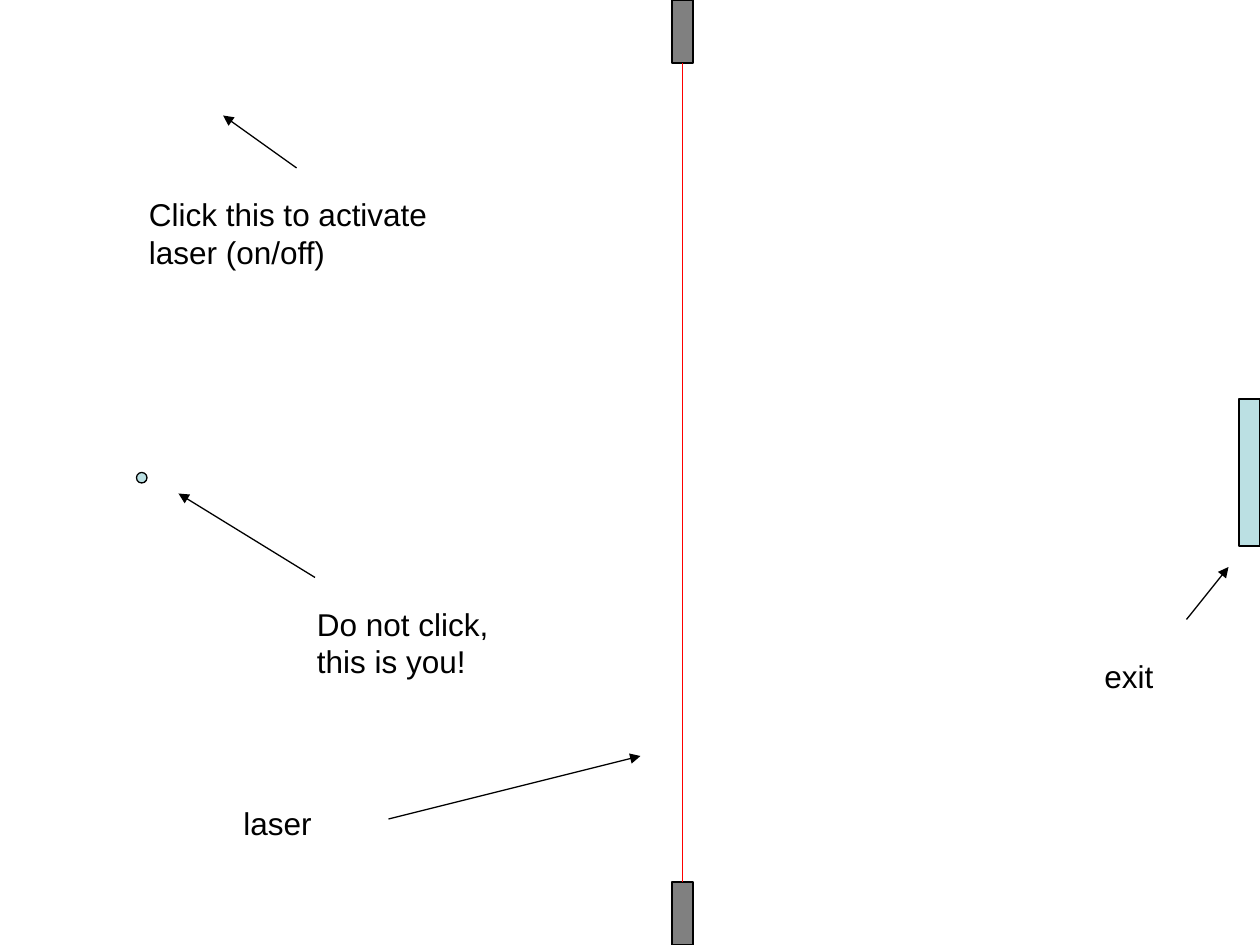
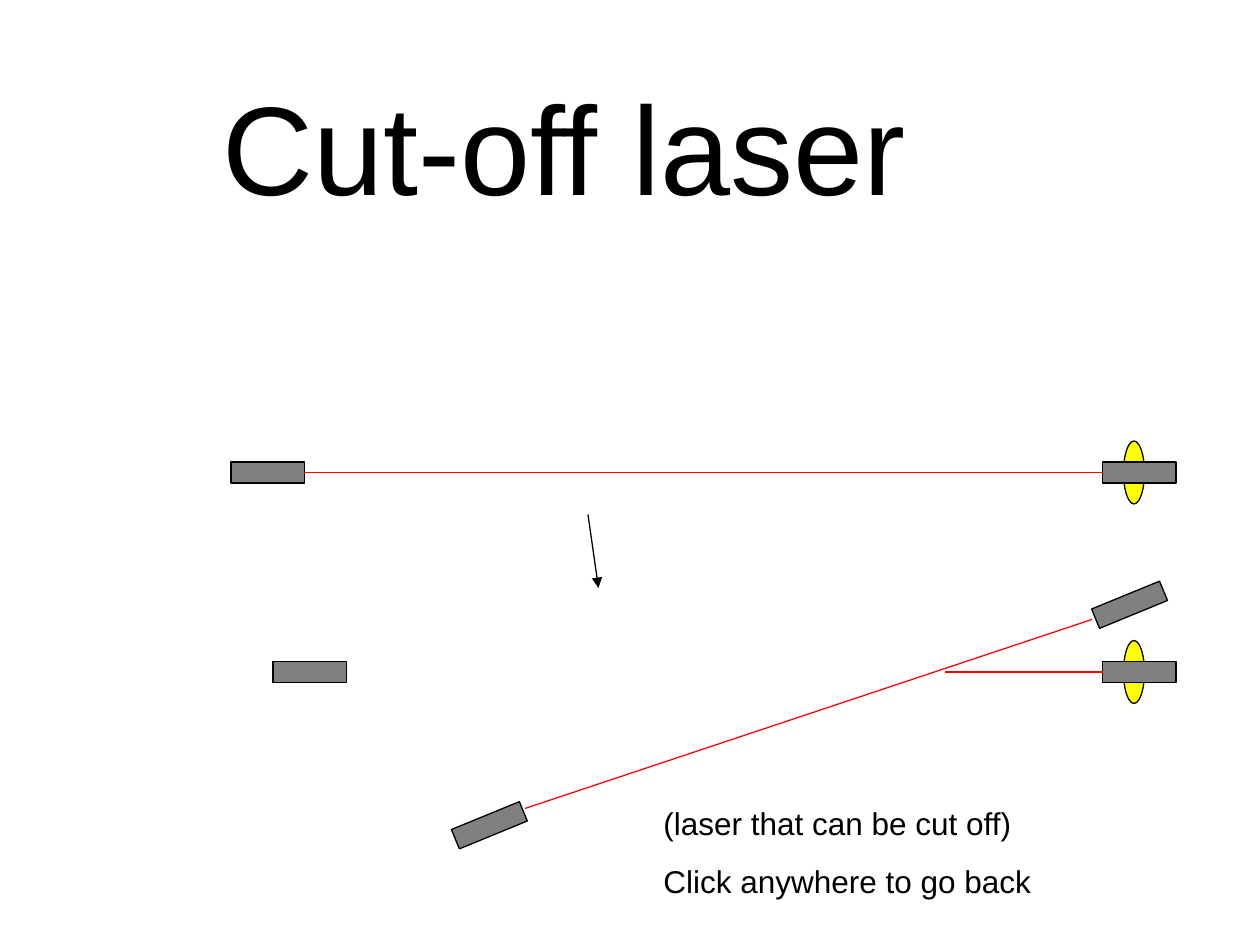
from dataclasses import dataclass

from pptx import Presentation
from pptx.dml.color import RGBColor
from pptx.enum.shapes import MSO_CONNECTOR, MSO_SHAPE
from pptx.enum.text import MSO_AUTO_SIZE
from pptx.oxml.ns import qn
from pptx.util import Pt
from lxml import etree

RECT, OVAL = MSO_SHAPE.RECTANGLE, MSO_SHAPE.OVAL
STRAIGHT = MSO_CONNECTOR.STRAIGHT
GROW = MSO_AUTO_SIZE.SHAPE_TO_FIT_TEXT
TOP, LEFT, BOTTOM, RIGHT = range(4)


@dataclass(frozen=True)
class Theme:
    ink: RGBColor = RGBColor(0, 0, 0)
    metal: RGBColor = RGBColor(0x80, 0x80, 0x80)
    beam: RGBColor = RGBColor(0xFF, 0, 0)
    pale: RGBColor = RGBColor(0xBB, 0xE0, 0xE3)
    lamp: RGBColor = RGBColor(0xFF, 0xFF, 0)
    font: str = "Arial"
    title: float = 72
    body: float = 18
    gap: float = 11.2
    line: float = 0.75


THEME = Theme()
WIDE, HIGH = 720, 540
LONG, THIN = 42, 12  # size of a laser mount on the second slide


# Basic parts
def block(slide, kind, box, fill, turn=0):
    shape = slide.shapes.add_shape(kind, *map(Pt, box))
    shape.shadow.inherit = False
    shape.fill.solid()
    shape.fill.fore_color.rgb = fill
    shape.line.color.rgb = THEME.ink
    shape.line.width = Pt(THEME.line)
    shape.rotation = turn
    return shape


def line(slide, start, end, color):
    link = slide.shapes.add_connector(STRAIGHT, *map(Pt, start + end))
    link.line.color.rgb = color
    link.line.width = Pt(THEME.line)
    etree.SubElement(link._element.spPr, qn("a:effectLst"))
    return link


def arrow(slide, start, end):
    link = line(slide, start, end, THEME.ink)
    etree.SubElement(link.line._get_or_add_ln(), qn("a:tailEnd"), type="triangle")


def label(slide, box, rows, size=THEME.body):
    frame = slide.shapes.add_textbox(*map(Pt, box)).text_frame
    frame.word_wrap = True
    frame.auto_size = GROW
    for i, words in enumerate(rows):
        para = frame.paragraphs[0] if i == 0 else frame.add_paragraph()
        if i:
            para.space_before = Pt(THEME.gap)
        run = para.add_run()
        run.text = words
        run.font.name = THEME.font
        run.font.size = Pt(size)
        run.font.color.rgb = THEME.ink


def callout(slide, box, words, start, end):
    """Label with an arrow; both arrow ends are offsets from the box corner."""
    x, y = box[:2]
    label(slide, box, [words])
    arrow(slide, (x + start[0], y + start[1]), (x + end[0], y + end[1]))


# First slide: laser gate across the room
def gate(slide, box):
    x, y, w, h = box
    end = 36
    low = block(slide, RECT, (x, y + h - end, w, end), THEME.metal)
    high = block(slide, RECT, (x, y, w, end), THEME.metal)
    mid = x + w / 2
    ray = line(slide, (mid, y + h - end), (mid, y + end), THEME.beam)
    ray.begin_connect(low, TOP)
    ray.end_connect(high, BOTTOM)


def room(slide, box):
    x, y, w, h = box
    gate(slide, (x + 384, y, 12, h))
    callout(slide, (x + 78, y + 108, 174, 50.4),
            "Click this to activate laser (on/off)", (91.5, -12), (49.5, -42))
    callout(slide, (x + 132, y + 456, 66, 28.8), "laser", (90, 12), (234, -24))
    # Exit door and player
    block(slide, RECT, (x + w - 12, y + 228, 12, 84), THEME.pale)
    callout(slide, (x + 624, y + 372, 60, 28.8), "exit", (54, -18), (78, -48))
    block(slide, OVAL, (x + 78, y + 270, 6, 6), THEME.pale)
    callout(slide, (x + 174, y + 342, 132, 50.4),
            "Do not click, this is you!", (6, -12), (-72, -60))


# Second slide: how one beam cuts another
def mount(slide, x, y, turn=0):
    """Laser mount centred on x, y."""
    box = (x - LONG / 2, y - THIN / 2, LONG, THIN)
    return block(slide, RECT, box, THEME.metal, turn)


def lit(slide, x, y):
    """Mount with a glowing lamp behind it."""
    block(slide, OVAL, (x - 9, y - 18, THIN, 36), THEME.lamp)
    return mount(slide, x, y)


def whole(slide, box):
    x, y, w, h = box
    mid = y + h / 2
    near = mount(slide, x + LONG / 2, mid)
    far = lit(slide, x + w - LONG / 2, mid)
    ray = line(slide, (x + w - LONG, mid), (x + LONG, mid), THEME.beam)
    ray.begin_connect(far, LEFT)
    ray.end_connect(near, RIGHT)


def cut(slide, box):
    x, y, w, h = box
    mid = y + h / 2
    far = lit(slide, x + w - LONG / 2, mid)
    stub = line(slide, (x + w - LONG, mid), (x + 384, mid), THEME.beam)
    stub.begin_connect(far, LEFT)
    # Slanted laser that blocks the level one
    line(slide, (x + 468, mid - 30), (x + 144, mid + 78), THEME.beam)
    for dx, dy in ((123.7, 87.6), (489.5, -38.4)):
        mount(slide, x + dx, mid + dy, -22.3)
    mount(slide, x + LONG / 2, mid)


def demo(slide, box):
    x, y = box[:2]
    label(slide, (x + 120, y + 36, 474, 93.6), ["Cut-off laser"], THEME.title)
    whole(slide, (x + 132, y + 252, 540, 36))
    arrow(slide, (x + 336, y + 294), (x + 342, y + 336))
    cut(slide, (x + 156, y + 366, 516, 36))
    label(slide, (x + 372, y + 456, 312, 61.9),
          ["(laser that can be cut off)", "Click anywhere to go back"])


def main():
    deck = Presentation()
    deck.slide_width, deck.slide_height = Pt(WIDE), Pt(HIGH)
    blank = deck.slide_layouts[6]
    for draw in (room, demo):
        draw(deck.slides.add_slide(blank), (0, 0, WIDE, HIGH))
    deck.save("out.pptx")


if __name__ == "__main__":
    main()
